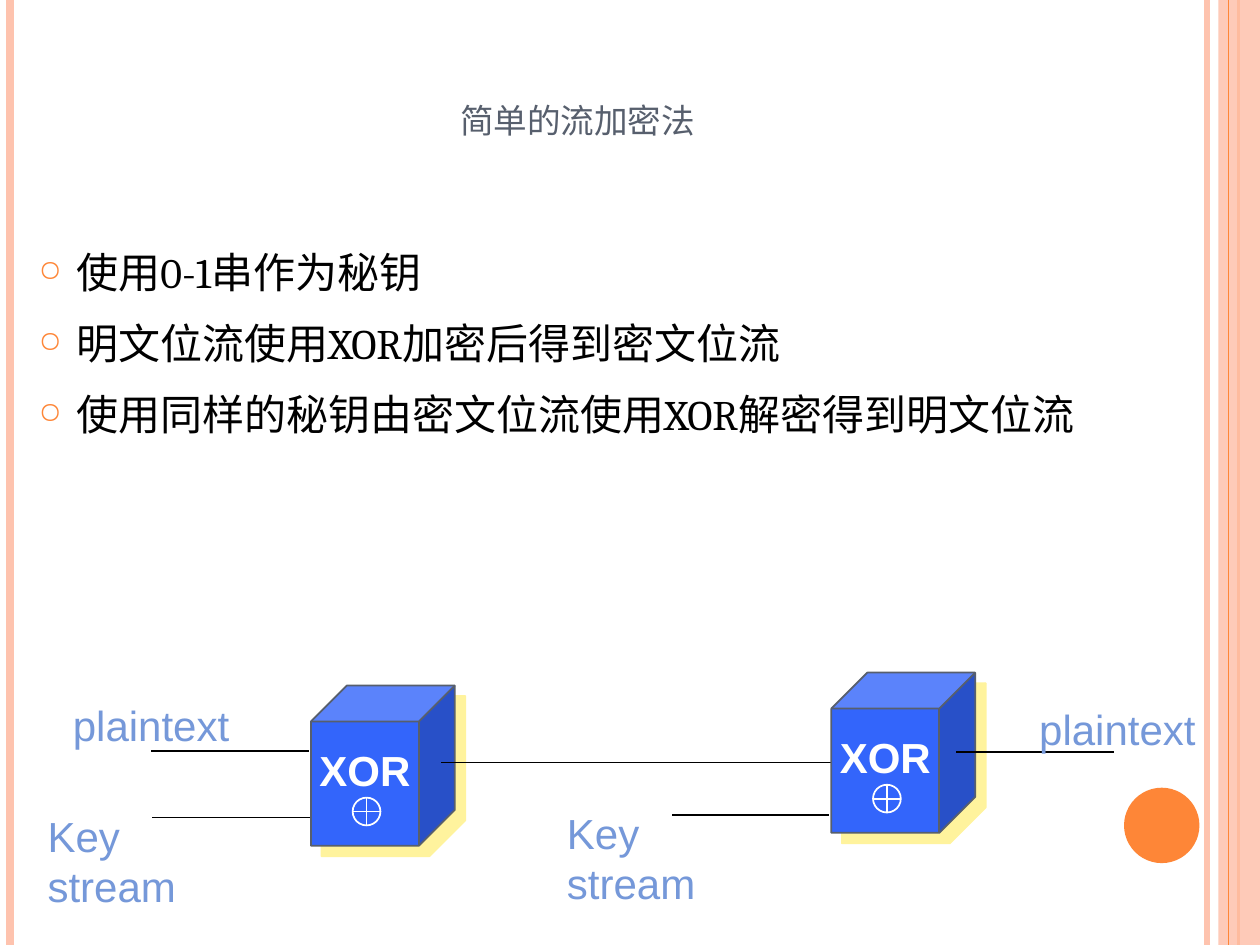
from lxml import etree
from pptx import Presentation
from pptx.dml.color import RGBColor
from pptx.enum.shapes import MSO_CONNECTOR, MSO_SHAPE
from pptx.enum.text import MSO_ANCHOR, PP_ALIGN
from pptx.oxml.ns import qn
from pptx.util import Cm, Pt

CUBE, OVAL, RECTANGLE = MSO_SHAPE.CUBE, MSO_SHAPE.OVAL, MSO_SHAPE.RECTANGLE
STRAIGHT = MSO_CONNECTOR.STRAIGHT
MIDDLE, CENTER = MSO_ANCHOR.MIDDLE, PP_ALIGN.CENTER

PAGE_WIDTH, PAGE_HEIGHT = 25.4, 19.05
ORANGE, PEACH, SLATE = "FE8637", "FEC3AE", "575F6D"
BLUE, LABEL_BLUE, YELLOW = "3365FB", "7598D9", "FFF39D"
BLACK, WHITE = "000000", "FFFFFF"

BULLETS = [
    "使用0-1串作为秘钥",
    "明文位流使用XOR加密后得到密文位流",
    "使用同样的秘钥由密文位流使用XOR解密得到明文位流",
]


def rgb(value):
    return RGBColor.from_string(value)


def add_element(parent, tag, **attributes):
    return etree.SubElement(parent, qn(tag), attributes)


def set_alpha(fill, percent):
    color = fill._xPr.find(qn("a:solidFill"))[0]
    add_element(color, "a:alpha", val=str(percent * 1000))


def format_span(span, font, color, bold=None):
    span.font.size = Pt(24)
    span.font.name = font
    span.font.bold = bold
    span.font.color.rgb = rgb(color)


def add_line(page, x1, y1, x2, y2, color=BLACK, width=1):
    line = page.shapes.add_connector(STRAIGHT, Cm(x1), Cm(y1), Cm(x2), Cm(y2))
    line.line.color.rgb = rgb(color)
    line.line.width = Pt(width)
    add_element(line._element.spPr, "a:effectLst")
    return line


def add_figure(page, kind, left, top, width, height, fill=None, line=None):
    figure = page.shapes.add_shape(kind, Cm(left), Cm(top), Cm(width), Cm(height))
    figure.shadow.inherit = False
    if fill:
        figure.fill.solid()
        figure.fill.fore_color.rgb = rgb(fill)
    else:
        figure.fill.background()
    if line:
        figure.line.color.rgb = rgb(line)
        figure.line.width = Pt(1)
    else:
        figure.line.fill.background()
    return figure


def add_label(page, text, left, top, width, color=LABEL_BLUE, bold=None):
    box = page.shapes.add_textbox(Cm(left), Cm(top), Cm(width), Cm(1.27))
    box.text_frame.word_wrap = False
    box.text_frame.text = text
    format_span(box.text_frame.paragraphs[0].runs[0], "Arial", color, bold)


def add_xor_cube(page, left, top):
    cube = add_figure(page, CUBE, left, top, 2.9, 3.23, BLUE, SLATE)
    effects = cube._element.spPr.find(qn("a:effectLst"))
    shadow = add_element(effects, "a:outerShdw", blurRad="0", dist=str(Pt(8.5)),
                         dir="2700000", algn="ctr", rotWithShape="0")
    add_element(shadow, "a:srgbClr", val=YELLOW)
    # Circled plus below the word
    x, y, radius = left + 1.12, top + 2.54, 0.28
    add_figure(page, OVAL, x - radius, y - radius, 2 * radius, 2 * radius, line=WHITE)
    add_line(page, x - radius, y, x + radius, y, WHITE)
    add_line(page, x, y - radius, x, y + radius, WHITE)
    add_label(page, "XOR", left - 0.08, top + 1.07, 2.34, WHITE, True)


def add_decoration(page):
    for x, color, width in [(24.33, PEACH, 3), (0.2, PEACH, 4.5), (24.97, ORANGE, 1.5)]:
        add_line(page, x, 0, x, PAGE_HEIGHT, color, width)
    band = add_figure(page, RECTANGLE, 24.56, 0, 0.84, PAGE_HEIGHT, PEACH)
    set_alpha(band.fill, 87)
    add_line(page, 24.77, 0, 24.77, PAGE_HEIGHT, ORANGE, 0.75)
    add_figure(page, OVAL, 22.66, 15.88, 1.52, 1.52, ORANGE)


def format_title(page):
    title = page.shapes.title
    title.left, title.top, title.width, title.height = Cm(1.27), Cm(0.76), Cm(20.75), Cm(3.18)
    title.text_frame.text = "简单的流加密法"
    title.text_frame.vertical_anchor = MIDDLE
    para = title.text_frame.paragraphs[0]
    para.alignment = CENTER
    format_span(para.runs[0], "Cambria", SLATE)
    para.runs[0]._r.get_or_add_rPr().set("cap", "small")


def add_bullets(page):
    box = page.shapes.add_textbox(Cm(0.53), Cm(4.65), Cm(24.13), Cm(8.66))
    box.text_frame.word_wrap = True
    box.text_frame.text = "\n".join(BULLETS)
    for para in box.text_frame.paragraphs:
        para.line_spacing = 1.2
        para.space_before = Pt(6)
        format_span(para.runs[0], "Cambria", BLACK)
        settings = para._p.get_or_add_pPr()
        settings.set("marL", str(Cm(0.76)))
        settings.set("indent", str(Cm(-0.76)))
        color = add_element(settings, "a:buClr")
        add_element(color, "a:srgbClr", val=ORANGE)
        add_element(settings, "a:buSzPct", val="70000")
        add_element(settings, "a:buChar", char="○")


def add_cipher_diagram(page):
    # Encryption
    add_xor_cube(page, 6.27, 13.82)
    add_line(page, 6.22, 15.14, 3.05, 15.14)
    add_line(page, 6.25, 16.48, 3.07, 16.48)
    add_line(page, 8.89, 15.37, 16.87, 15.37)
    add_label(page, "plaintext", 1.22, 13.97, 3.66)
    add_label(page, "Key stream", 0.71, 16.21, 4.78)
    # Decryption
    add_xor_cube(page, 16.76, 13.56)
    add_line(page, 16.71, 16.43, 13.54, 16.43)
    add_label(page, "Key stream", 11.18, 16.15, 4.78)
    add_line(page, 22.45, 15.16, 19.28, 15.16)
    add_label(page, "plaintext", 20.7, 14.05, 3.66)


def main():
    deck = Presentation()
    deck.slide_width, deck.slide_height = Cm(PAGE_WIDTH), Cm(PAGE_HEIGHT)
    page = deck.slides.add_slide(deck.slide_layouts[5])
    add_decoration(page)
    format_title(page)
    add_bullets(page)
    add_cipher_diagram(page)
    deck.save("out.pptx")


main()
